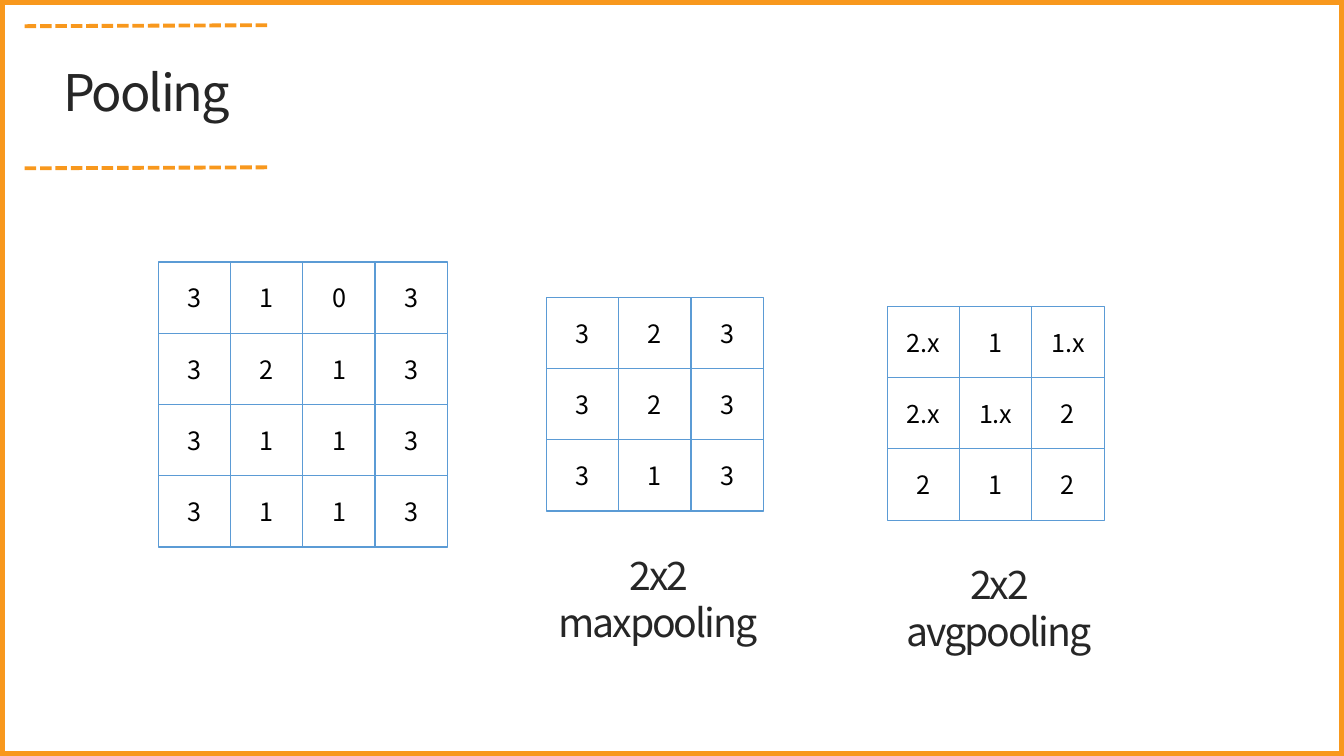
import pptx
import pptx.util
from lxml import etree
from pptx.dml.color import RGBColor
from pptx.enum.dml import MSO_LINE
from pptx.enum.shapes import MSO_CONNECTOR, MSO_SHAPE
from pptx.enum.text import MSO_ANCHOR, MSO_AUTO_SIZE, PP_ALIGN
from pptx.oxml.ns import qn
from pptx.util import Inches, Pt

TITLE = ("Pooling", -0.07, 0.56, 3.05, 0.71, 36, 0.1)
CAPTIONS = [
    ("2x2 maxpooling", 5.15, 5.42, 2.75, 0.57, 28, 0.2),
    ("2x2 avgpooling", 8.58, 5.51, 2.65, 0.57, 28, 0.2),
]
# left, top, rows of values
GRIDS = [
    (1.57, 2.6, ["3 1 0 3", "3 2 1 3", "3 1 1 3", "3 1 1 3"]),
    (5.42, 2.95, ["3 2 3", "3 2 3", "3 1 3"]),
    (8.8, 3.04, ["2.x 1 1.x", "2.x 1.x 2", "2 1 2"]),
]
RULE_TOPS = [0.25, 1.66]

CELL_WIDTH, CELL_HEIGHT = 0.72, 0.71
COLUMN_STEP, ROW_STEP = 0.716, 0.706
FONT = "Noto Sans CJK KR"
ORANGE = RGBColor(0xF8, 0x98, 0x1D)
BLUE = RGBColor(0x5B, 0x9B, 0xD5)
WHITE = RGBColor(0xFF, 0xFF, 0xFF)
BLACK = RGBColor(0, 0, 0)
DARK_GREY = RGBColor(0x26, 0x26, 0x26)


def write(frame, text, size, color):
    """Put one centred run into the frame and return it."""
    paragraph = frame.paragraphs[0]
    paragraph.alignment = PP_ALIGN.CENTER
    run = paragraph.add_run()
    run.text = text
    run.font.size = Pt(size)
    run.font.name = FONT
    run.font.color.rgb = color
    properties = run.font._element
    etree.SubElement(properties, qn("a:ea")).set("typeface", FONT)
    return run


def add_rectangle(slide, left, top, width, height, line_color, line_width):
    shape = slide.shapes.add_shape(
        MSO_SHAPE.RECTANGLE, Inches(left), Inches(top), Inches(width), Inches(height))
    shape.shadow.inherit = False
    shape.fill.background()
    shape.line.color.rgb = line_color
    shape.line.width = Pt(line_width)
    return shape


def add_rule(slide, top):
    rule = slide.shapes.add_connector(
        MSO_CONNECTOR.STRAIGHT, Inches(2.65), Inches(top), Inches(0.23), Inches(top + 0.01))
    rule.line.color.rgb = ORANGE
    rule.line.width = Pt(2.75)
    rule.line.dash_style = MSO_LINE.SQUARE_DOT
    etree.SubElement(rule._element.spPr, qn("a:effectLst"))


def add_label(slide, text, left, top, width, height, size, margin):
    box = slide.shapes.add_textbox(
        Inches(left), Inches(top), Inches(width), Inches(height))
    frame = box.text_frame
    frame.word_wrap = True
    frame.auto_size = MSO_AUTO_SIZE.SHAPE_TO_FIT_TEXT
    frame.margin_left = frame.margin_right = Inches(margin)
    run = write(frame, text, size, DARK_GREY)
    run.font._element.set("spc", "-150")


def add_grid(slide, left, top, rows):
    for row, values in enumerate(rows):
        for column, value in enumerate(values.split()):
            cell = add_rectangle(
                slide, left + column * COLUMN_STEP, top + row * ROW_STEP,
                CELL_WIDTH, CELL_HEIGHT, BLUE, 1)
            cell.fill.solid()
            cell.fill.fore_color.rgb = WHITE
            cell.text_frame.vertical_anchor = MSO_ANCHOR.MIDDLE
            write(cell.text_frame, value, 18, BLACK)


def main():
    presentation = pptx.Presentation()
    presentation.slide_width = Inches(13.33)
    presentation.slide_height = Inches(7.5)
    slide = presentation.slides.add_slide(presentation.slide_layouts[6])

    add_rectangle(slide, 0.02, 0.02, 13.29, 7.46, ORANGE, 3.75)
    for top in RULE_TOPS:
        add_rule(slide, top)
    for label in [TITLE, *CAPTIONS]:
        add_label(slide, *label)
    for grid in GRIDS:
        add_grid(slide, *grid)

    presentation.save("out.pptx")


if __name__ == "__main__":
    main()
